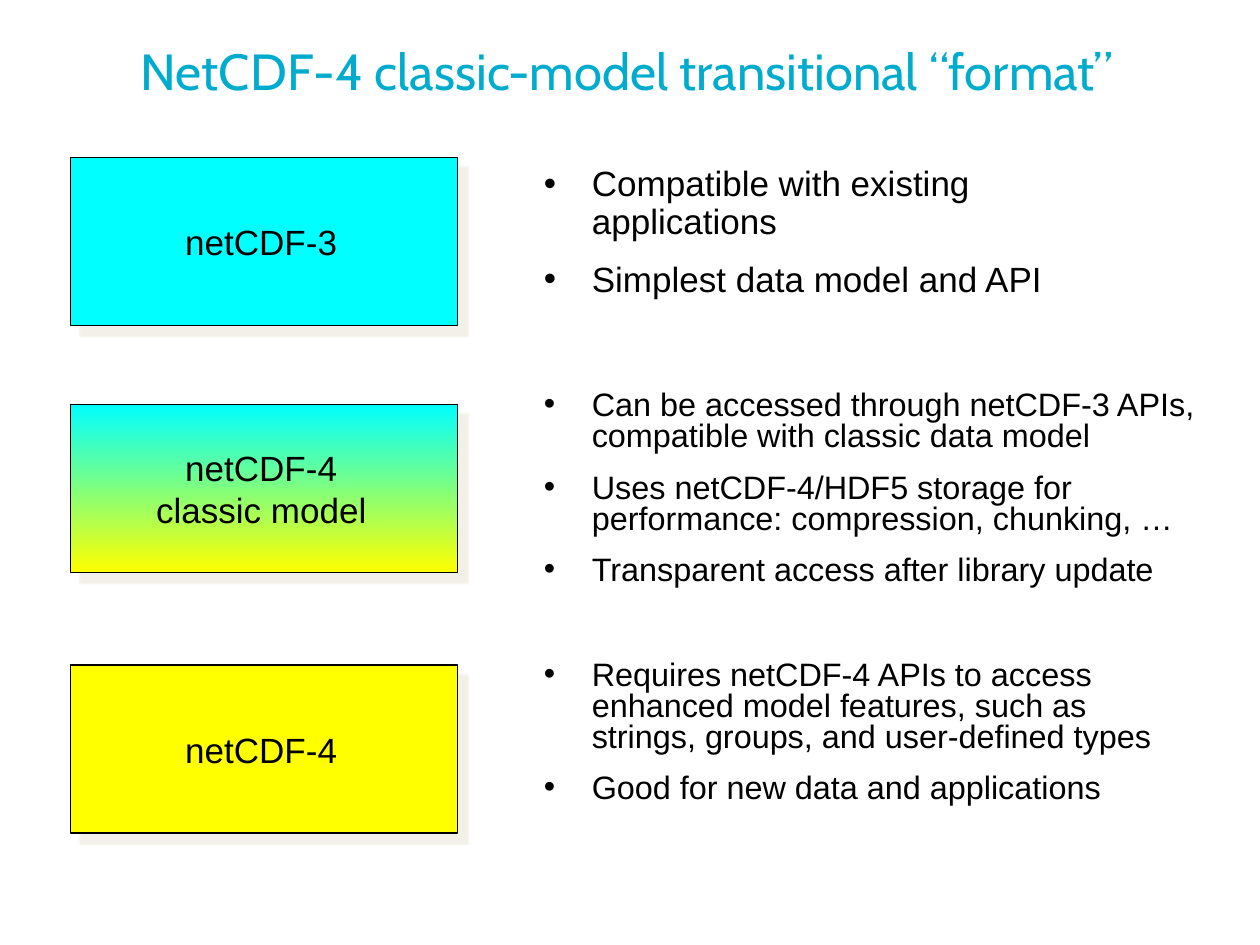
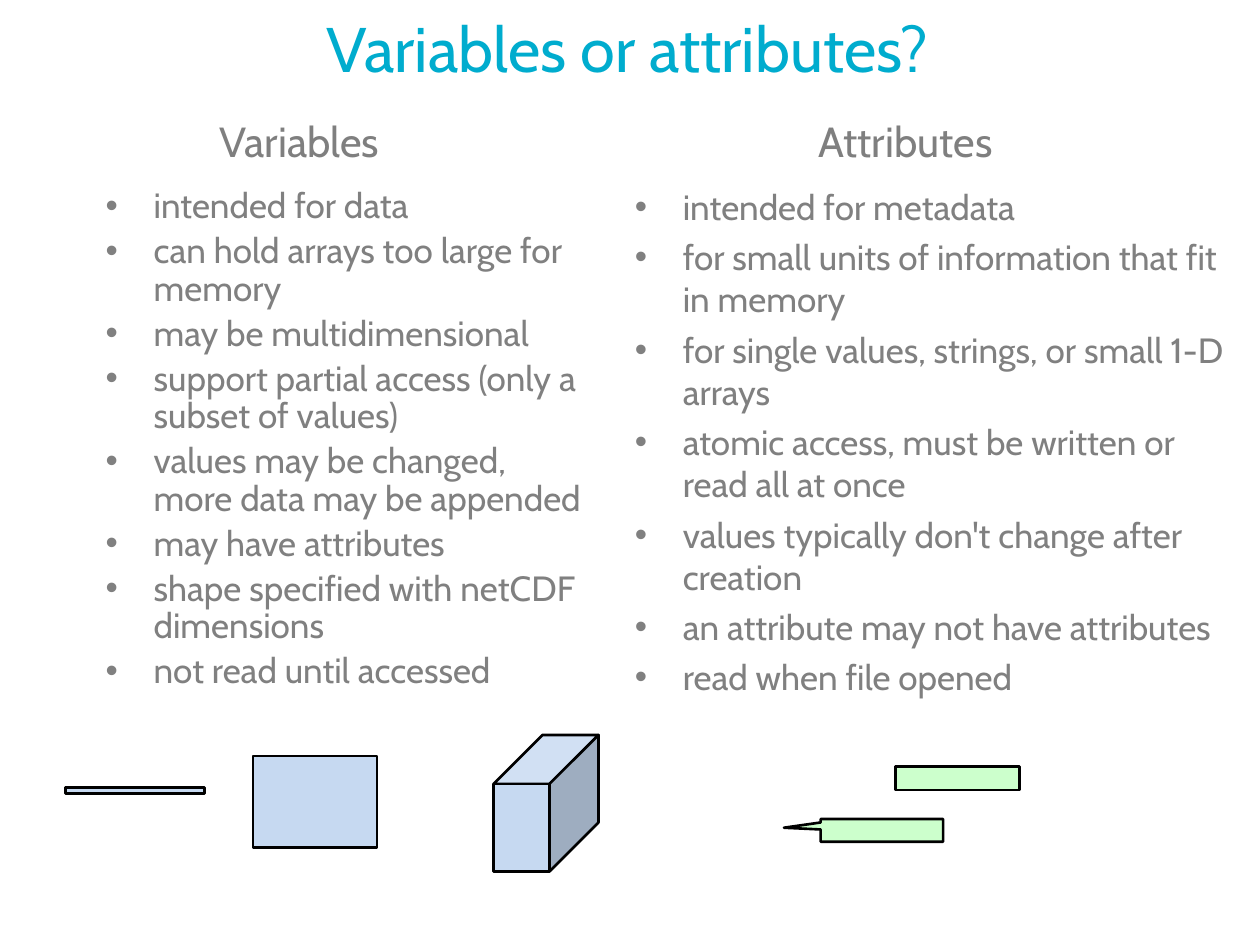
from lxml import etree
from pptx import Presentation
from pptx import util as u
from pptx.dml.color import RGBColor
from pptx.enum import shapes, text
from pptx.oxml import parse_xml
from pptx.oxml.ns import qn

Pt = u.Pt
C = {"title": "00ACCE", "black": "000000", "gray": "808080", "head": "7F7F7F",
     "cyan": "00FFFF", "yellow": "FFFF00", "shadow": "EEECE1", "blue": "C6D9F1",
     "light": "D1E0F3", "dark": "9EADC0", "green": "CCFFCC"}
NS = 'xmlns:a="http://schemas.openxmlformats.org/drawingml/2006/main"'
SHADOW = (f'<a:effectLst {NS}><a:outerShdw blurRad="12700" dist="101600" dir="2700000" '
          f'algn="ctr" rotWithShape="0"><a:srgbClr val="{C["shadow"]}">'
          '<a:alpha val="75000"/></a:srgbClr></a:outerShdw></a:effectLst>')
TITLE = {"size": 29, "name": "Cabin", "color": "title", "align": "CENTER", "anchor": "MIDDLE",
         "insets": (7.2, 3.6, 10, 3.6)}
BIG_TITLE = {**TITLE, "size": 36}
LABEL = {"size": 20, "name": "Arial", "color": "black", "align": "CENTER", "anchor": "MIDDLE"}
HEAD = {"size": 24, "name": "Cabin", "color": "head"}
NOTE = {"size": 18.5, "name": "Arial", "color": "black", "bullet": True,
        "line_spacing": 0.8, "space_before": Pt(11.5)}
BIG_NOTE = {**NOTE, "size": 20, "line_spacing": 0.9}
POINT = {"size": 20, "name": "Cabin", "color": "gray", "bullet": True, "space_before": Pt(4.8)}
TIGHT_POINT = {**POINT, "line_spacing": 0.9, "space_before": Pt(4)}


def write(sp, lines, fmt):
    tf = sp.text_frame
    tf.word_wrap = True
    tf.vertical_anchor = getattr(text.MSO_ANCHOR, fmt.get("anchor", "TOP"))
    for side, inset in zip(("left", "top", "right", "bottom"), fmt.get("insets", (0, 0, 3, 0))):
        setattr(tf, f"margin_{side}", Pt(inset))
    for i, line in enumerate(lines):
        p = tf.add_paragraph() if i else tf.paragraphs[0]
        p.alignment = getattr(text.PP_ALIGN, fmt.get("align", "LEFT"))
        for key in ("line_spacing", "space_before"):
            if key in fmt:
                setattr(p, key, fmt[key])
        if fmt.get("bullet"):
            pPr = p._p.get_or_add_pPr()
            pPr.set("marL", str(Pt(30.2)))
            pPr.set("indent", str(Pt(-27.4)))
            color = etree.SubElement(pPr, qn("a:buClr"))
            etree.SubElement(color, qn("a:srgbClr"), val=C[fmt["color"]])
            etree.SubElement(pPr, qn("a:buFont"), typeface="Arial")
            etree.SubElement(pPr, qn("a:buChar"), char="•")
        r = p.add_run()
        r.text = line
        for key, value in {"size": Pt(fmt["size"]), "name": fmt["name"]}.items():
            setattr(r.font, key, value)
        r.font.color.rgb = RGBColor.from_string(C[fmt["color"]])


def paint(sp, fill, width=1.5):
    sp.shadow.inherit = False
    sp.fill.solid()
    sp.fill.fore_color.rgb = RGBColor.from_string(C[fill])
    sp.line.color.rgb = RGBColor.from_string(C["black"])
    sp.line.width = Pt(width)


prs = Presentation()
prs.slide_width, prs.slide_height = Pt(720), Pt(540)
blank = prs.slide_layouts[6]

s = prs.slides.add_slide(blank)
write(s.shapes.add_textbox(Pt(36), Pt(7.2), Pt(648), Pt(66)),
      ["NetCDF-4 classic-model transitional “format”"], TITLE)

formats = [
    (90, ["netCDF-3"], ["cyan"], 95, 359, BIG_NOTE,
     ["Compatible with existing applications", "Simplest data model and API"]),
    (231, ["netCDF-4", "classic model"], ["cyan", "yellow"], 224, 386, NOTE,
     ["Can be accessed through netCDF-3 APIs, compatible with classic data model",
      "Uses netCDF-4/HDF5 storage for performance: compression, chunking, …",
      "Transparent access after library update"]),
    (380, ["netCDF-4"], ["yellow"], 378, 376, NOTE,
     ["Requires netCDF-4 APIs to access enhanced model features, such as strings, groups, "
      "and user-defined types",
      "Good for new data and applications"]),
]
for top, label, fills, note_top, note_width, fmt, notes in formats:
    sp = s.shapes.add_shape(shapes.MSO_SHAPE.RECTANGLE, Pt(40.3), Pt(top), Pt(221), Pt(96))
    paint(sp, fills[0], 0.75)
    if len(fills) > 1:
        sp.fill.gradient()
        sp.fill.gradient_angle = 270
        for i, (stop, fill) in enumerate(zip(sp.fill.gradient_stops, fills)):
            stop.position = i
            stop.color.rgb = RGBColor.from_string(C[fill])
    spPr = sp._element.spPr
    spPr.replace(spPr.find(qn("a:effectLst")), parse_xml(SHADOW))
    write(sp, label, LABEL)
    write(s.shapes.add_textbox(Pt(308), Pt(note_top), Pt(note_width), Pt(96)), notes, fmt)

s = prs.slides.add_slide(blank)
write(s.shapes.add_textbox(Pt(36), Pt(0), Pt(648), Pt(54)), ["Variables or attributes?"], BIG_TITLE)

columns = [
    ("Variables", 125.3, 57.6, 107.8, 281.5, TIGHT_POINT,
     ["intended for data", "can hold arrays too large for memory", "may be multidimensional",
      "support partial access (only a subset of values)",
      "values may be changed, more data may be appended", "may have attributes",
      "shape specified with netCDF dimensions", "not read until accessed"]),
    ("Attributes", 468, 360, 106, 345, POINT,
     ["intended for metadata", "for small units of information that fit in memory",
      "for single values, strings, or small 1-D arrays",
      "atomic access, must be written or read all at once",
      "values typically don't change after creation",
      "an attribute may not have attributes", "read when file opened"]),
]
for head, head_left, left, top, width, fmt, points in columns:
    write(s.shapes.add_textbox(Pt(left), Pt(top), Pt(width), Pt(300)), points, fmt)
    write(s.shapes.add_textbox(Pt(head_left), Pt(66.2), Pt(117), Pt(29)), [head], HEAD)

bars = [(37.4, 450, 79.5, 3.6, "blue"), (144.5, 432, 71, 52.5, "blue"),
        (511.7, 438, 70.8, 13.5, "green")]
for left, top, width, height, fill in bars:
    paint(s.shapes.add_shape(shapes.MSO_SHAPE.RECTANGLE, Pt(left), Pt(top), Pt(width), Pt(height)), fill)

x1, x2, x3, x4 = 281.5, 309.6, 314, 342
y1, y2, y3, y4 = 419.8, 447.8, 470, 498.2
outlines = [
    ("light", [(x1, y2), (x2, y1), (x4, y1), (x3, y2)]),
    ("dark", [(x3, y2), (x4, y1), (x4, y3), (x3, y4)]),
    ("blue", [(x1, y2), (x3, y2), (x3, y4), (x1, y4)]),
    ("green", [(468.7, 468), (538.6, 468), (538.6, 481.2), (468.7, 481.2), (468.7, 473.8),
               (447.8, 473), (468.7, 470.2)]),
]
for fill, points in outlines:
    builder = s.shapes.build_freeform(*points[0], scale=Pt(1))
    builder.add_line_segments(points[1:], close=True)
    paint(builder.convert_to_shape(), fill)

prs.save("out.pptx")
